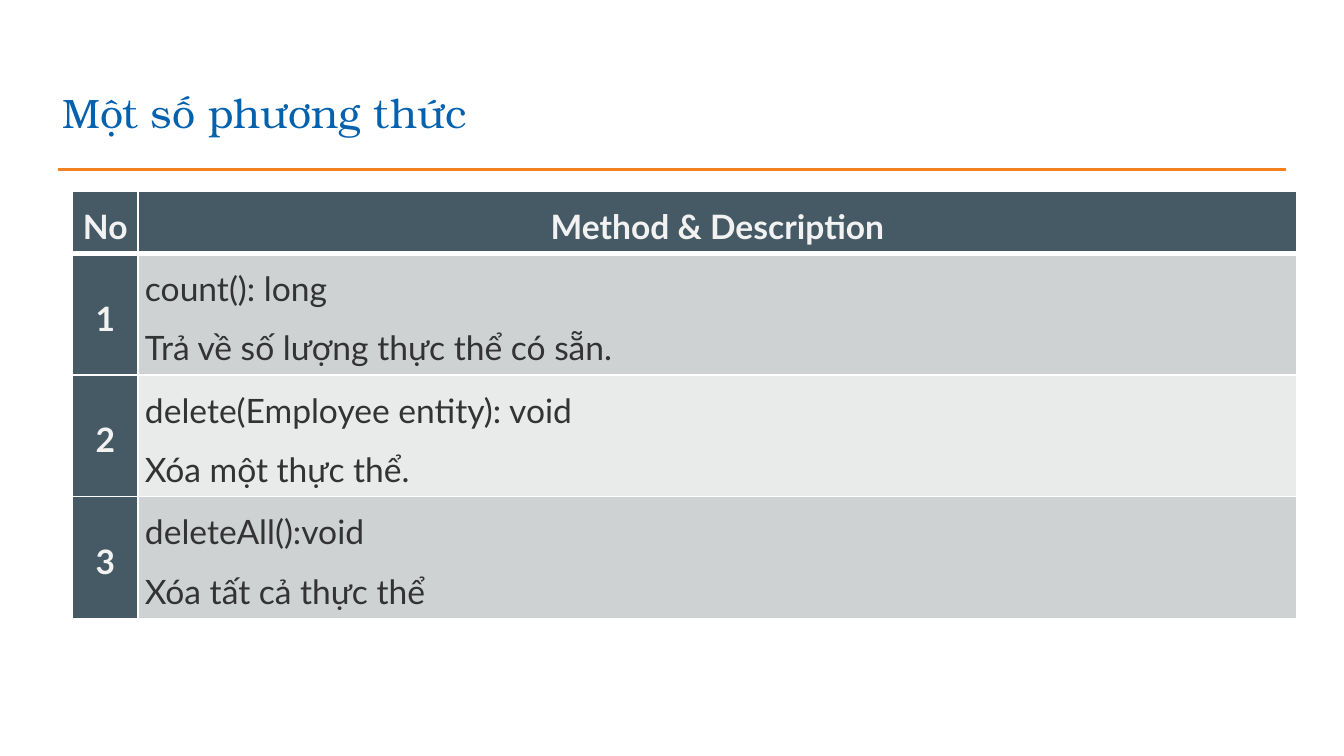
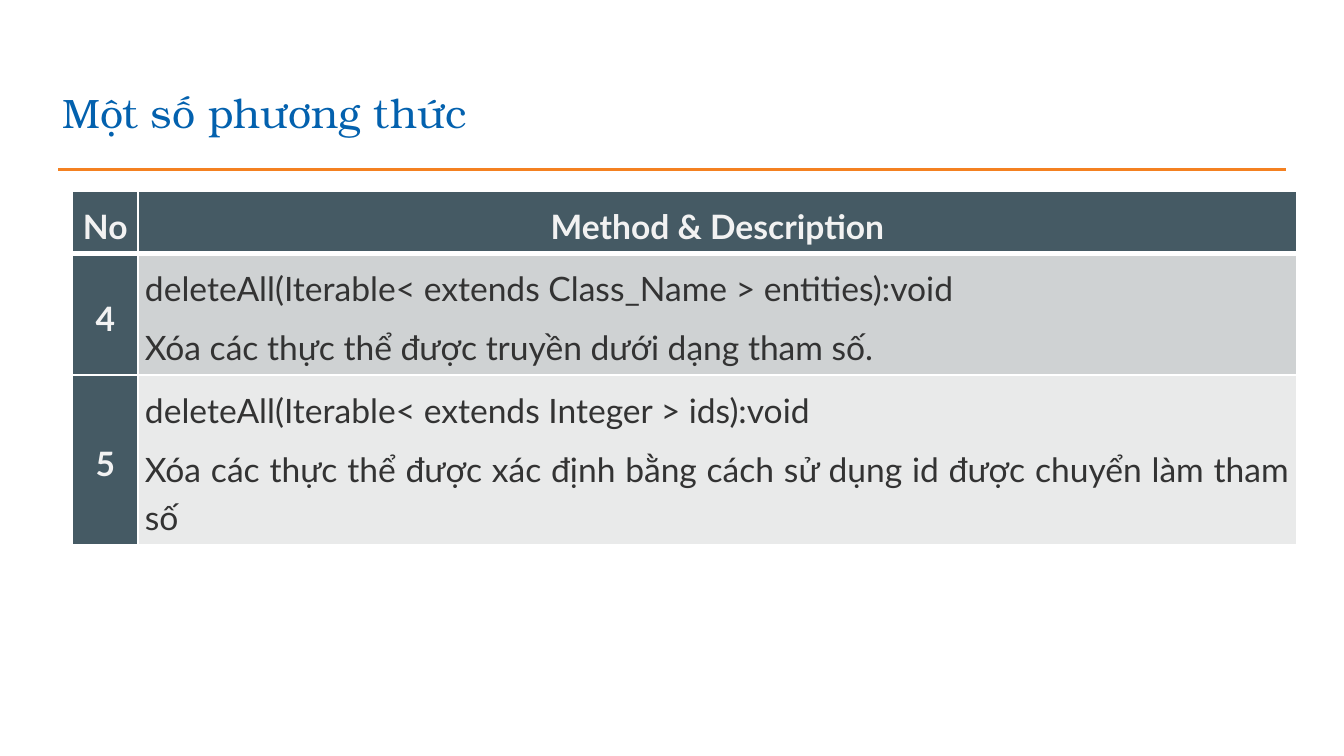
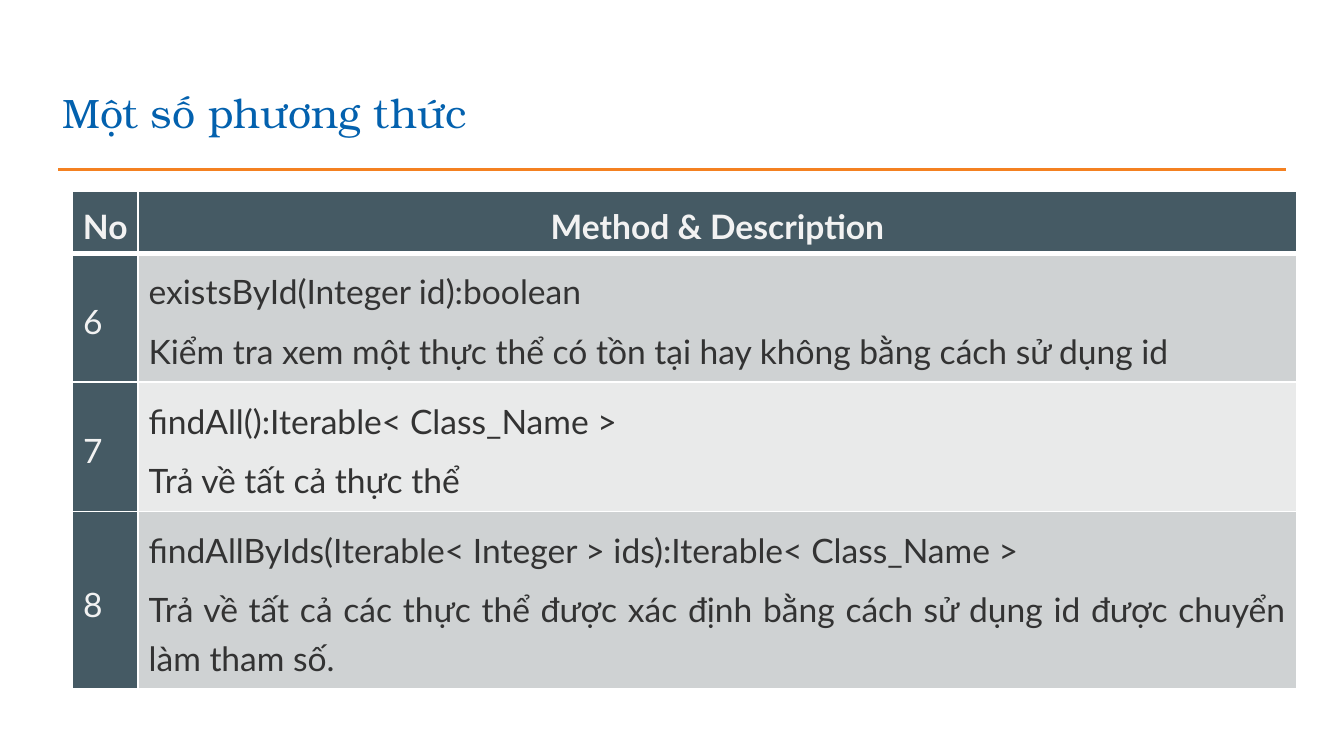
from dataclasses import dataclass

from lxml.etree import SubElement
from pptx import Presentation
from pptx.dml.color import RGBColor
from pptx.enum.shapes import MSO_CONNECTOR
from pptx.enum.text import MSO_ANCHOR, PP_ALIGN
from pptx.oxml import parse_xml
from pptx.oxml.ns import nsdecls, qn
from pptx.util import Cm, Pt


@dataclass(frozen=True)
class Theme:
    title_font: str = "TeX Gyre Bonum"
    body_font: str = "Lato"
    title_size: int = 22
    body_size: int = 18
    title: str = "0361AE"
    rule: str = "F48121"
    head_fill: str = "455A64"
    head_text: str = "F2F2F2"
    body_text: str = "333333"
    border: str = "FFFFFF"
    bands: tuple = ("CFD2D3", "E9EAEA")


THEME = Theme()
TITLE = "Một số phương thức"
HEADINGS = ("No", "Method & Description")
COLUMNS = (1.24, 21.9)
HEAD_HEIGHT = 0.56
TIGHT, ROOMY = 0.13, 0.2  # cell margins

# Table formats that differ between the slides
NUMBERED = {"margin": TIGHT, "anchor": MSO_ANCHOR.MIDDLE,
            "number_align": PP_ALIGN.CENTER, "number_bold": True}
PLAIN = {"margin": ROOMY, "anchor": MSO_ANCHOR.TOP,
         "number_align": PP_ALIGN.JUSTIFY, "number_bold": False}

# Each slide: table format, frame height, rows of (height, method, description)
SLIDES = [
    (NUMBERED, 8.03, [
        (1.12, "count(): long", "Trả về số lượng thực thể có sẵn."),
        (1.12, "delete(Employee entity): void", "Xóa một thực thể."),
        (1.12, "deleteAll():void", "Xóa tất cả thực thể"),
    ]),
    (NUMBERED, 6.65, [
        (1.73, "deleteAll(Iterable< extends Class_Name > entities):void",
         "Xóa các thực thể được truyền dưới dạng tham số."),
        (1.65, "deleteAll(Iterable< extends Integer > ids):void",
         "Xóa các thực thể được xác định bằng cách sử dụng id được chuyển làm tham số"),
    ]),
    (PLAIN, 9.3, [
        (1.12, "existsById(Integer id):boolean",
         "Kiểm tra xem một thực thể có tồn tại hay không bằng cách sử dụng id"),
        (1.12, "findAll():Iterable< Class_Name >", "Trả về tất cả thực thể"),
        (1.12, "findAllByIds(Iterable< Integer > ids):Iterable< Class_Name >",
         "Trả về tất cả các thực thể được xác định bằng cách sử dụng id được chuyển làm tham số."),
    ]),
]


def apply(target, formats):
    for name, value in formats.items():
        setattr(target, name, value)


def add_run(p, text, font, size, color, bold=False):
    r = p.add_run()
    r.text = text
    apply(r.font, {"name": font, "size": Pt(size), "bold": bold})
    r.font.color.rgb = RGBColor.from_string(color)


def add_title(s, text):
    tf = s.shapes.add_textbox(Cm(0.66), Cm(1.24), Cm(23.67), Cm(1.6)).text_frame
    apply(tf, {"word_wrap": True, "vertical_anchor": MSO_ANCHOR.BOTTOM,
               "margin_left": Cm(0.52), "margin_right": Cm(0.25),
               "margin_top": Cm(0.25), "margin_bottom": Cm(0.25)})
    add_run(tf.paragraphs[0], text, THEME.title_font, THEME.title_size, THEME.title)


def add_rule(s):
    line = s.shapes.add_connector(MSO_CONNECTOR.STRAIGHT,
                                  Cm(1.1), Cm(3.2), Cm(24.3), Cm(3.2))
    line.line.color.rgb = RGBColor.from_string(THEME.rule)
    line.line.width = Pt(1.5)
    SubElement(line._element.spPr, qn("a:effectLst"))


def add_borders(cell, bottom):
    tc_pr = cell._tc.get_or_add_tcPr()
    for i, (side, width) in enumerate(zip("LRTB", (1, 1, 1, bottom))):
        tc_pr.insert(i, parse_xml(
            f'<a:ln{side} {nsdecls("a")} w="{Pt(width)}"><a:solidFill>'
            f'<a:srgbClr val="{THEME.border}"/></a:solidFill></a:ln{side}>'))


def fill_cell(cell, lines, fill, color, align, bold=False,
              margin=TIGHT, anchor=MSO_ANCHOR.TOP, bottom=1):
    cell.fill.solid()
    cell.fill.fore_color.rgb = RGBColor.from_string(fill)
    add_borders(cell, bottom)
    sides = ("left", "right", "top", "bottom")
    apply(cell, {f"margin_{side}": Cm(margin) for side in sides})
    cell.vertical_anchor = anchor
    tf = cell.text_frame
    for i, text in enumerate(lines):
        p = tf.add_paragraph() if i else tf.paragraphs[0]
        apply(p, {"alignment": align, "line_spacing": 1.2,
                  "space_before": Pt(3 if i else 0), "space_after": Pt(3)})
        add_run(p, text, THEME.body_font, THEME.body_size, color, bold)


def add_method_table(s, methods, first_no, height, style):
    frame = s.shapes.add_table(len(methods) + 1, len(COLUMNS), Cm(1.37), Cm(3.61),
                               Cm(sum(COLUMNS)), Cm(height))
    table = frame.table
    for column, width in zip(table.columns, COLUMNS):
        column.width = Cm(width)
    for row, h in zip(table.rows, [HEAD_HEIGHT] + [m[0] for m in methods]):
        row.height = Cm(h)
    frame.height = Cm(height)

    # Heading row
    for c, text in enumerate(HEADINGS):
        fill_cell(table.cell(0, c), [text], THEME.head_fill, THEME.head_text,
                  PP_ALIGN.CENTER, bold=True, bottom=3)

    # Numbered method rows with alternating bands
    for i, (_, method, description) in enumerate(methods):
        fill_cell(table.cell(i + 1, 0), [str(first_no + i)], THEME.head_fill,
                  THEME.head_text, style["number_align"], style["number_bold"],
                  style["margin"], MSO_ANCHOR.MIDDLE)
        fill_cell(table.cell(i + 1, 1), [method, description],
                  THEME.bands[i % len(THEME.bands)], THEME.body_text,
                  PP_ALIGN.JUSTIFY, margin=style["margin"], anchor=style["anchor"])


def main():
    prs = Presentation()
    apply(prs, {"slide_width": Cm(25.4), "slide_height": Cm(14.29)})
    first_no = 1
    for style, height, methods in SLIDES:
        s = prs.slides.add_slide(prs.slide_layouts[6])
        add_rule(s)
        add_title(s, TITLE)
        add_method_table(s, methods, first_no, height, style)
        first_no += len(methods)
    prs.save("out.pptx")


if __name__ == "__main__":
    main()
